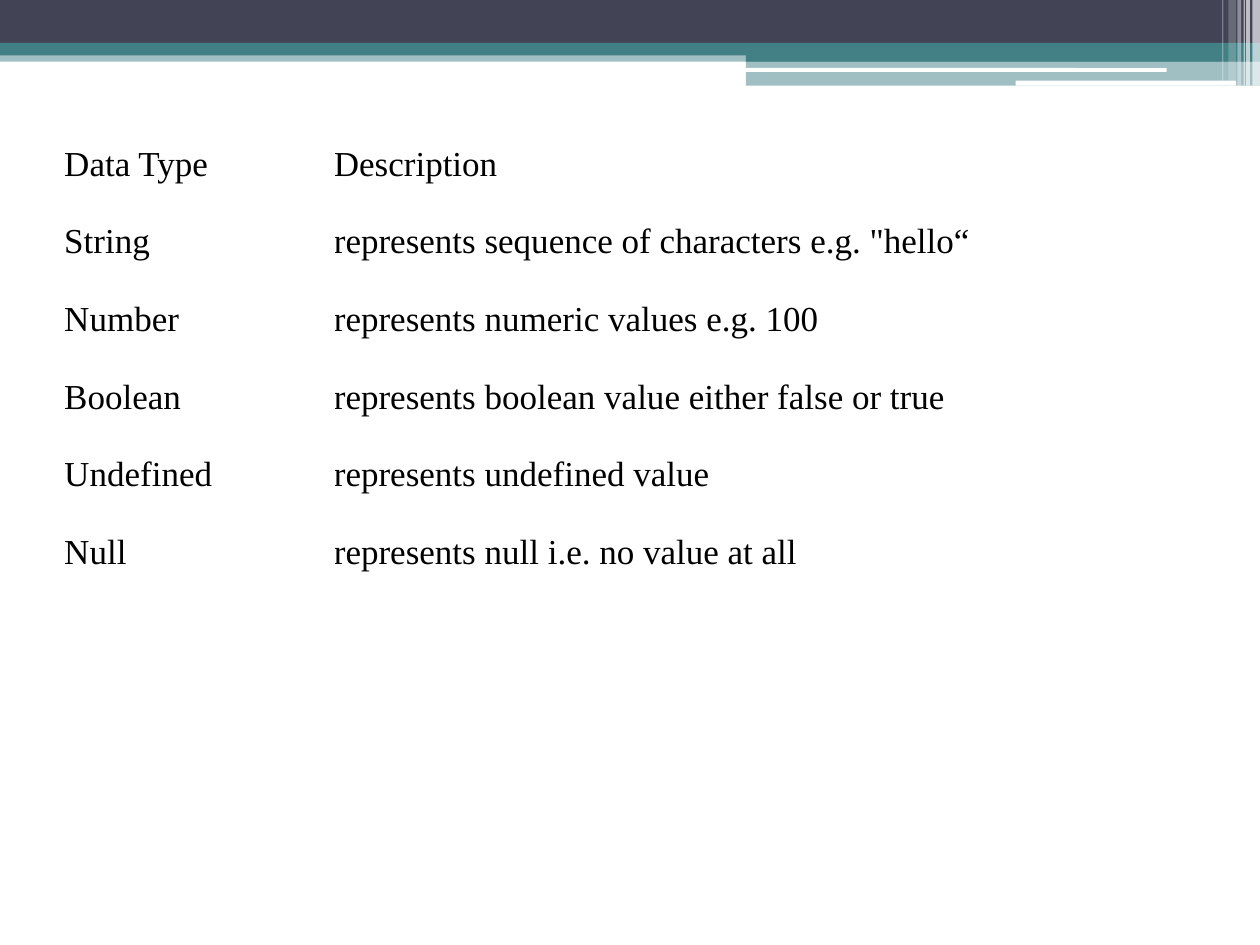
from lxml.etree import SubElement
from pptx import Presentation
from pptx.dml.color import RGBColor
from pptx.enum.shapes import MSO_SHAPE
from pptx.enum.text import MSO_ANCHOR
from pptx.oxml.ns import qn
from pptx.util import Inches, Pt

NAVY, TEAL, WHITE, BLACK = "424456", "438086", "FFFFFF", "000000"
FONT = "Times New Roman"

# left, top, width, height in inches from the banner's corner; colour; opacity %
BANDS = [
    (0, 0.4, 10, 0.09, TEAL, 50),
    (0, 0, 10, 0.34, NAVY, 100),
    (0, 0.34, 10, 0.1, TEAL, 100),
    (5.92, 0.39, 4.08, 0.1, TEAL, 100),
    (5.92, 0.48, 4.08, 0.2, TEAL, 50),
]
ROUNDED_BARS = [
    (5.91, 0.54, 3.35, 0.03, WHITE, 100),
    (8.06, 0.64, 1.75, 0.04, WHITE, 100),
]
# left, width, height, opacity %
STRIPES = [
    (9.94, 0.06, 0.68, 65),
    (9.89, 0.03, 0.68, 65),
    (9.87, 0.01, 0.68, 60),
    (9.82, 0.03, 0.68, 40),
    (9.75, 0.06, 0.64, 20),
    (9.7, 0.01, 0.64, 30),
]

DATA_TYPES = [
    ("Data Type", "Description"),
    ("String", 'represents sequence of characters e.g. "hello“'),
    ("Number", "represents numeric values e.g. 100"),
    ("Boolean", "represents boolean value either false or true"),
    ("Undefined", "represents undefined value"),
    ("Null", "represents null i.e. no value at all"),
]


def set_fill(fill, colour, opacity=100):
    fill.solid()
    fill.fore_color.rgb = RGBColor.from_string(colour)
    if opacity < 100:
        colour_element = fill._xPr.find(qn("a:solidFill"))[0]
        SubElement(colour_element, qn("a:alpha"), val=str(opacity * 1000))


def add_bar(slide, kind, left, top, width, height, colour, opacity):
    bar = slide.shapes.add_shape(
        kind, Inches(left), Inches(top), Inches(width), Inches(height))
    bar.shadow.inherit = False
    bar.line.fill.background()
    set_fill(bar.fill, colour, opacity)


def add_banner(slide, left, top):
    for x, y, *rest in BANDS:
        add_bar(slide, MSO_SHAPE.RECTANGLE, left + x, top + y, *rest)
    for x, y, *rest in ROUNDED_BARS:
        add_bar(slide, MSO_SHAPE.ROUNDED_RECTANGLE, left + x, top + y, *rest)
    for x, width, height, opacity in STRIPES:
        add_bar(slide, MSO_SHAPE.RECTANGLE, left + x, top, width, height, WHITE, opacity)


def fill_cell(cell, text):
    set_fill(cell.fill, WHITE)
    cell.margin_left = cell.margin_right = cell.margin_top = cell.margin_bottom = 0
    cell.vertical_anchor = MSO_ANCHOR.TOP
    cell.text = text
    font = cell.text_frame.paragraphs[0].font
    font.name, font.size, font.bold = FONT, Pt(20), False
    font.color.rgb = RGBColor.from_string(BLACK)


def add_data_type_table(slide, left, top, width, height, first_column):
    table = slide.shapes.add_table(
        len(DATA_TYPES), 2, Inches(left), Inches(top), Inches(width), Inches(height)).table
    table.first_row = table.horz_banding = False
    table.columns[0].width = Inches(first_column)
    table.columns[1].width = Inches(width - first_column)
    for row, texts in enumerate(DATA_TYPES):
        for column, text in enumerate(texts):
            fill_cell(table.cell(row, column), text)


def main():
    presentation = Presentation()
    presentation.slide_width, presentation.slide_height = Inches(10), Inches(7.5)
    slide = presentation.slides.add_slide(presentation.slide_layouts[6])
    add_banner(slide, 0, 0)
    add_data_type_table(slide, 0.51, 1.15, 9.21, 3.7, first_column=2.14)
    presentation.save("out.pptx")


if __name__ == "__main__":
    main()
